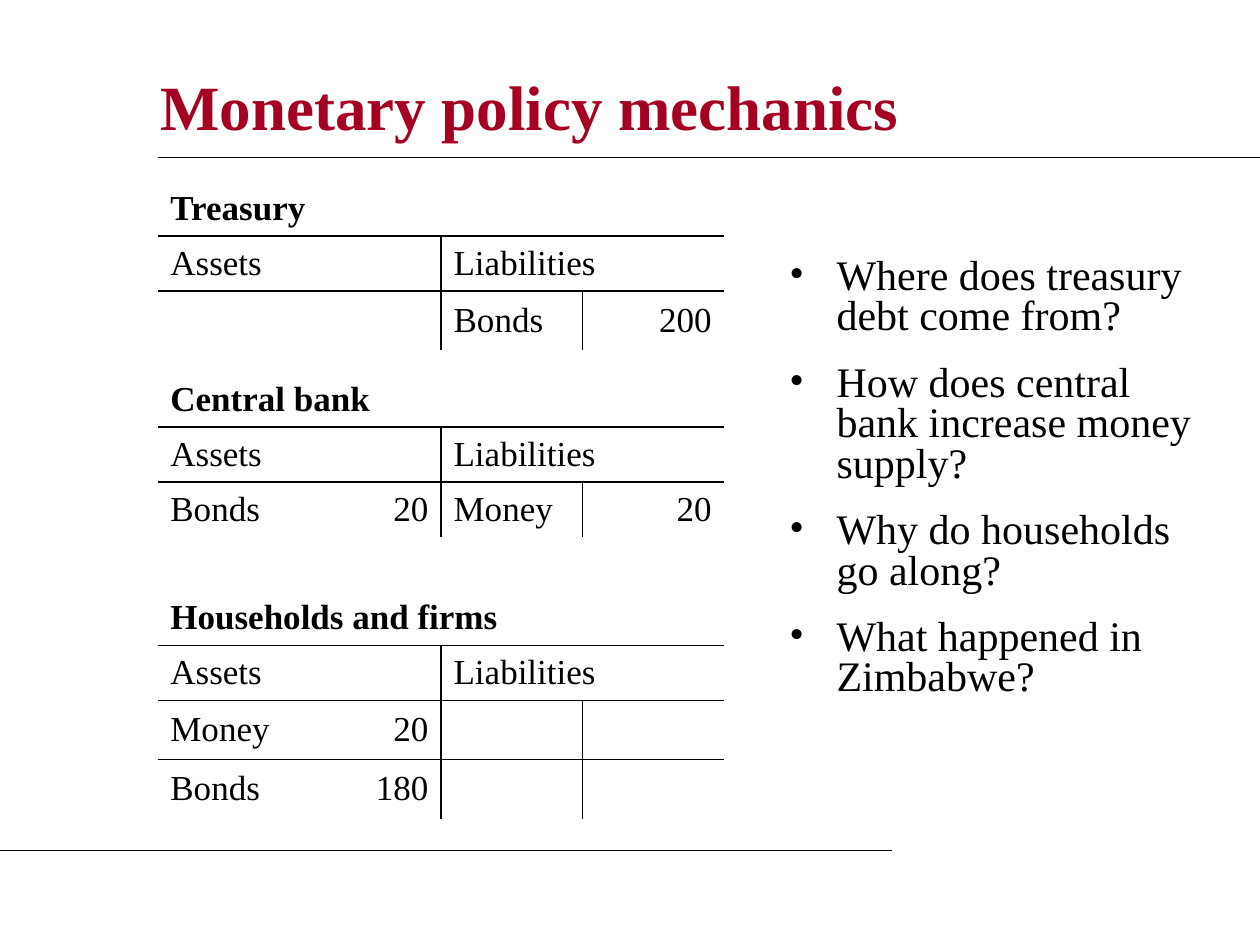
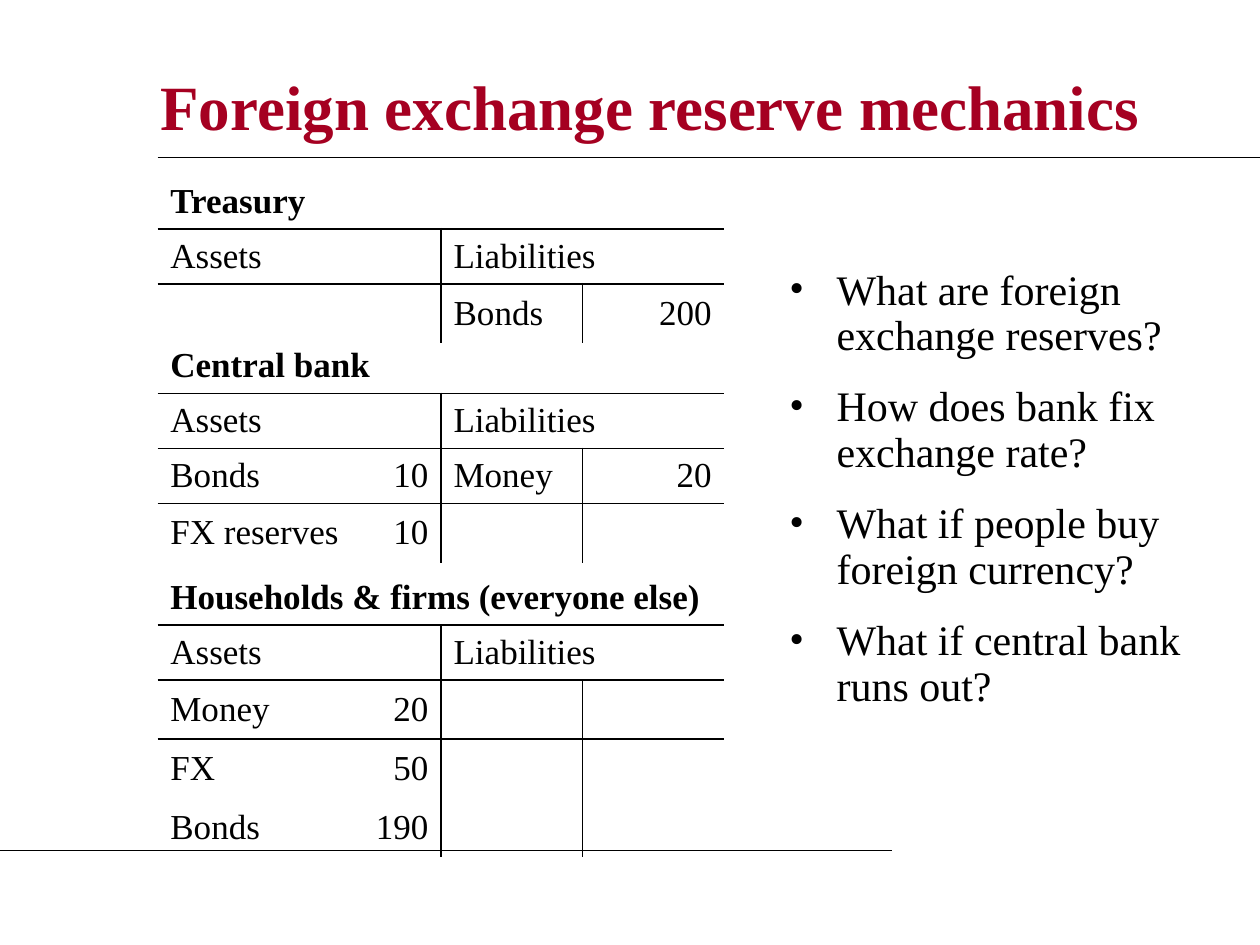
from dataclasses import dataclass
from pptx import Presentation
from pptx.dml.color import RGBColor
from pptx.enum.shapes import MSO_CONNECTOR as Connector
from pptx.enum.text import MSO_ANCHOR as Anchor, MSO_AUTO_SIZE as AutoSize, PP_ALIGN as Align
from pptx.oxml.ns import qn
from pptx.util import Cm, Pt
from lxml.etree import SubElement

FONT = "Times New Roman"
BLACK = "000000"
CRIMSON = "A50021"
NO_STYLE_NO_GRID = "{2D5ABB26-0587-4C30-8999-92F81FD0307C}"
PAGE_WIDTH, PAGE_HEIGHT = 25.4, 19.05
HALF_WIDTH = 5.71
FULL_ROW, GAP_ROW = 1.11, 1.19
BORDER = Pt(1.08)


@dataclass
class Box:
    left: float
    top: float
    width: float
    height: float = 0

    def place(self, shape):
        shape.left, shape.top = Cm(self.left), Cm(self.top)
        shape.width, shape.height = Cm(self.width), Cm(self.height)


TITLE_BOX = Box(2.98, 1.06, 20.53, 2.12)
TOP_RULE = Box(3.18, 3.18, PAGE_WIDTH - 3.18)
BOTTOM_RULE = Box(0, 17.14, 17.99)


def colour(hex_string):
    return RGBColor.from_string(hex_string)


def write(para, text, size=20, hex_string=BLACK, bold=False, align=Align.LEFT):
    para.alignment = align
    span = para.add_run()
    span.text = text
    span.font.name = FONT
    span.font.size = Pt(size)
    span.font.bold = bold
    span.font.color.rgb = colour(hex_string)


def add_rule(page, box):
    rule = page.shapes.add_connector(
        Connector.STRAIGHT, Cm(box.left), Cm(box.top),
        Cm(box.left + box.width), Cm(box.top + box.height))
    rule.line.color.rgb = colour(BLACK)
    rule.line.width = Pt(0.75)
    SubElement(rule._element.spPr, qn("a:effectLst"))


def add_title(page, box, text):
    title = page.shapes.title
    box.place(title)
    frame = title.text_frame
    frame.auto_size = AutoSize.NONE
    frame.vertical_anchor = Anchor.MIDDLE
    write(frame.paragraphs[0], text, size=36, hex_string=CRIMSON, bold=True)


def add_bullet(para, indent):
    props = para._p.get_or_add_pPr()
    props.set("marL", str(indent))
    props.set("indent", str(-indent))
    bullet_colour = SubElement(props, qn("a:buClr"))
    SubElement(bullet_colour, qn("a:srgbClr"), val=BLACK)
    SubElement(props, qn("a:buFont"), typeface=FONT)
    SubElement(props, qn("a:buChar"), char="•")


def add_questions(page, box, questions, line_spacing):
    body = page.placeholders[1]
    box.place(body)
    frame = body.text_frame
    frame.auto_size = AutoSize.NONE
    for index, question in enumerate(questions):
        para = frame.add_paragraph() if index else frame.paragraphs[0]
        para.line_spacing = line_spacing
        para.space_before = Pt(15)
        add_bullet(para, Cm(0.95))
        write(para, question, size=24)


def set_borders(cell, sides):
    props = cell._tc.get_or_add_tcPr()
    for side in "LRTB":
        if side in sides:
            line = SubElement(props, qn(f"a:ln{side}"), w=str(BORDER))
            fill = SubElement(line, qn("a:solidFill"))
            SubElement(fill, qn("a:srgbClr"), val=BLACK)


def account_borders(row, column):
    sides = ""
    if row > 0:
        sides += {1: "R", 2: "L"}.get(column, "")
    if row in (1, 2):
        sides += "T"
    if row in (0, 1):
        sides += "B"
    return sides


def add_account(page, left, top, name, entries, label_width=3.76):
    rows = [(name, "", "", ""), ("Assets", "", "Liabilities", ""), *entries]
    heights = [FULL_ROW, FULL_ROW]
    heights += [FULL_ROW if all(entry) else GAP_ROW for entry in entries]
    widths = [label_width, HALF_WIDTH - label_width, HALF_WIDTH / 2, HALF_WIDTH / 2]
    frame = page.shapes.add_table(
        len(rows), len(widths), Cm(left), Cm(top), Cm(sum(widths)), Cm(sum(heights)))
    table = frame.table
    table.first_row = table.horz_banding = False
    table._tbl.tblPr.find(qn("a:tableStyleId")).text = NO_STYLE_NO_GRID
    for column, width in zip(table.columns, widths):
        column.width = Cm(width)
    for row, (texts, height) in enumerate(zip(rows, heights)):
        table.rows[row].height = Cm(height)
        for column, text in enumerate(texts):
            cell = table.cell(row, column)
            cell.vertical_anchor = Anchor.MIDDLE
            set_borders(cell, account_borders(row, column))
            cell.fill.background()
            if text:
                write(cell.text_frame.paragraphs[0], text, bold=row == 0,
                      align=Align.RIGHT if column % 2 else Align.LEFT)
    table.cell(0, 0).merge(table.cell(0, 3))
    for column in (0, 2):
        table.cell(1, column).merge(table.cell(1, column + 1))


def add_mechanics_page(deck, title, accounts, questions, questions_box, line_spacing):
    page = deck.slides.add_slide(deck.slide_layouts[1])
    add_title(page, TITLE_BOX, title)
    add_rule(page, TOP_RULE)
    add_rule(page, BOTTOM_RULE)
    for account in accounts:
        add_account(page, TOP_RULE.left, **account)
    add_questions(page, questions_box, questions, line_spacing)


def main():
    deck = Presentation()
    deck.slide_width, deck.slide_height = Cm(PAGE_WIDTH), Cm(PAGE_HEIGHT)
    treasury = dict(name="Treasury", entries=[("", "", "Bonds", "200")])
    add_mechanics_page(
        deck, "Monetary policy mechanics",
        [
            dict(top=3.65, **treasury),
            dict(top=7.5, name="Central bank", entries=[("Bonds", "20", "Money", "20")]),
            dict(top=11.9, name="Households and firms",
                 entries=[("Money", "20", "", ""), ("Bonds", "180", "", "")]),
        ],
        ["Where does treasury debt come from?",
         "How does central bank increase money supply?",
         "Why do households go along?",
         "What happened in Zimbabwe?"],
        Box(15.66, 5.08, 8.68, 9.84), 0.8)
    add_mechanics_page(
        deck, "Foreign exchange reserve mechanics",
        [
            dict(top=3.5, **treasury),
            dict(top=6.82, name="Central bank", label_width=4.24,
                 entries=[("Bonds", "10", "Money", "20"), ("FX reserves", "10", "", "")]),
            dict(top=11.49, name="Households & firms (everyone else)",
                 entries=[("Money", "20", "", ""), ("FX", "50", "", ""),
                          ("Bonds", "190", "", "")]),
        ],
        ["What are foreign exchange reserves?",
         "How does bank fix exchange rate?",
         "What if people buy foreign currency?",
         "What if central bank runs out?"],
        Box(15.66, 5.29, 8.68, 10.58), 0.9)
    deck.save("out.pptx")


if __name__ == "__main__":
    main()
